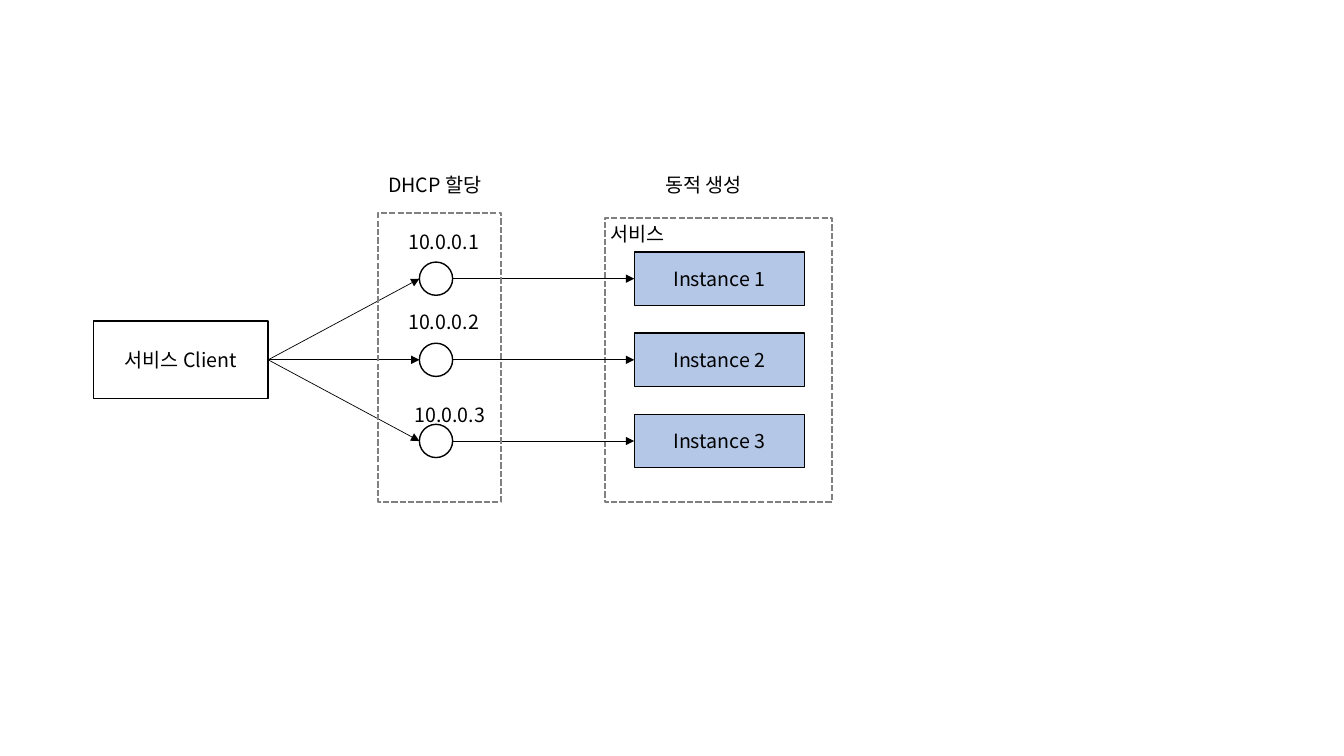
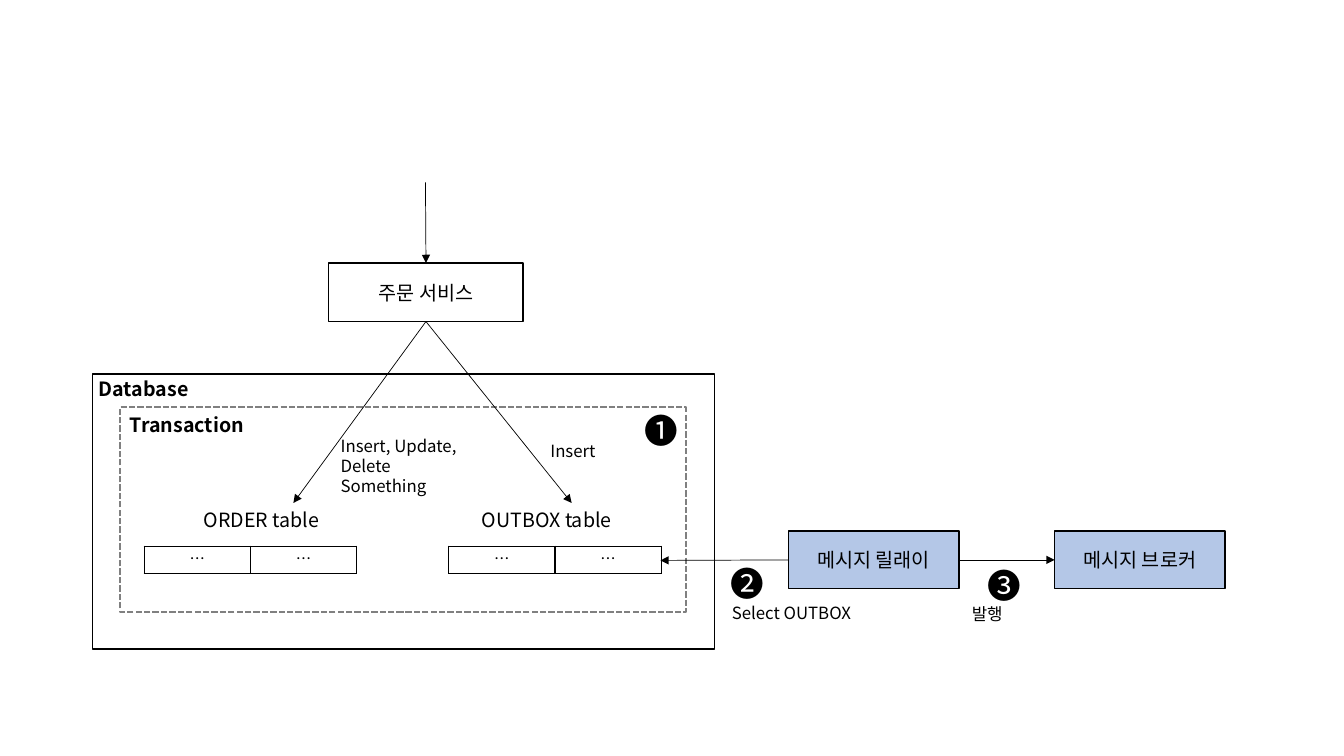
from dataclasses import dataclass
from typing import Optional

from pptx import Presentation
from pptx.dml.color import RGBColor
from pptx.enum.dml import MSO_LINE
from pptx.enum.shapes import MSO_CONNECTOR, MSO_SHAPE
from pptx.enum.text import MSO_ANCHOR, MSO_AUTO_SIZE, PP_ALIGN
from pptx.oxml.ns import qn
from pptx.util import Inches, Pt
from lxml import etree

# Shared style
FONT = "Noto Sans CJK KR"
BLACK, WHITE, GRAY, BLUE = "000000", "FFFFFF", "808080", "B4C7E7"
RECT, OVAL = MSO_SHAPE.RECTANGLE, MSO_SHAPE.OVAL
STRAIGHT = MSO_CONNECTOR.STRAIGHT
DASH = MSO_LINE.SQUARE_DOT
CENTER, LEFT = PP_ALIGN.CENTER, PP_ALIGN.LEFT
MIDDLE = MSO_ANCHOR.MIDDLE
FIT = MSO_AUTO_SIZE.SHAPE_TO_FIT_TEXT
TOP_SIDE, LEFT_SIDE, BOTTOM_SIDE, RIGHT_SIDE = range(4)
LINE_HEIGHT = 1.2


@dataclass
class Box:
    x: float
    y: float
    w: float
    h: float
    text: str = ""
    fill: Optional[str] = WHITE
    kind: int = RECT
    dashed: bool = False


@dataclass
class Label:
    x: float
    y: float
    text: str
    w: float = 1.99
    size: int = 14
    bold: bool = False


def rgb(value: str) -> RGBColor:
    return RGBColor.from_string(value)


def write(tf, text: str, size: int, align, bold: bool = False) -> None:
    p = tf.paragraphs[0]
    p.alignment = align
    p.line_spacing = Pt(size * LINE_HEIGHT)
    for i, line in enumerate(text.split("\n")):
        if i:
            p.add_line_break()
        r = p.add_run()
        r.text = line
        r.font.name = FONT
        r.font.size = Pt(size)
        r.font.bold = bold
        r.font.color.rgb = rgb(BLACK)
        ea = etree.SubElement(r.font._element, qn("a:ea"))
        ea.set("typeface", FONT)


def add_box(s, box: Box):
    sp = s.shapes.add_shape(box.kind, Inches(box.x), Inches(box.y),
                            Inches(box.w), Inches(box.h))
    sp.shadow.inherit = False
    if box.fill:
        sp.fill.solid()
        sp.fill.fore_color.rgb = rgb(box.fill)
    else:
        sp.fill.background()
    sp.line.color.rgb = rgb(GRAY if box.dashed else BLACK)
    sp.line.width = Pt(1.5 if box.dashed else 1)
    if box.dashed:
        sp.line.dash_style = DASH
    if box.text:
        sp.text_frame.vertical_anchor = MIDDLE
        write(sp.text_frame, box.text, 14, CENTER)
    return sp


def add_group_frame(s, x: float, y: float, w: float, h: float):
    return add_box(s, Box(x, y, w, h, fill=None, dashed=True))


def add_label(s, label: Label) -> None:
    lines = label.text.count("\n") + 1
    height = 0.1 + lines * label.size * LINE_HEIGHT / 72
    sp = s.shapes.add_textbox(Inches(label.x), Inches(label.y),
                              Inches(label.w), Inches(height))
    tf = sp.text_frame
    tf.word_wrap = True
    tf.auto_size = FIT
    write(tf, label.text, label.size, LEFT, label.bold)


def add_arrow(s, x1: float, y1: float, x2: float, y2: float,
              begin=None, end=None) -> None:
    """Draw an arrow; begin and end are optional (shape, side) pairs."""
    c = s.shapes.add_connector(STRAIGHT, Inches(x1), Inches(y1),
                               Inches(x2), Inches(y2))
    if begin:
        c.begin_connect(*begin)
    if end:
        c.end_connect(*end)
    c.line.color.rgb = rgb(BLACK)
    c.line.width = Pt(0.5)
    etree.SubElement(c.line._get_or_add_ln(), qn("a:tailEnd"), type="triangle")
    etree.SubElement(c._element.spPr, qn("a:effectLst"))


def add_record(s, x: float, y: float) -> None:
    """Draw a one-row table with two cells."""
    table = s.shapes.add_table(1, 2, Inches(x), Inches(y),
                               Inches(2.11), Inches(0.27)).table
    table.first_row = table.horz_banding = False
    for cell in table.iter_cells():
        cell.margin_left = cell.margin_right = Inches(0.08)
        cell.margin_top = cell.margin_bottom = Inches(0.04)
        write(cell.text_frame, "…", 11, CENTER)
        tc_pr = cell._tc.get_or_add_tcPr()
        for side in ("lnL", "lnR", "lnT", "lnB"):
            ln = etree.SubElement(tc_pr, qn(f"a:{side}"), w=str(Pt(1)))
            fill = etree.SubElement(ln, qn("a:solidFill"))
            etree.SubElement(fill, qn("a:srgbClr"), val=BLACK)
        cell.fill.background()


def build_instances(prs) -> None:
    s = prs.slides.add_slide(prs.slide_layouts[6])
    middle, pitch, circle = 3.57, 0.805, 0.33
    rows = [middle + (i - 1) * pitch for i in range(3)]

    # Client, service group and instances
    add_group_frame(s, 6, 2.16, 2.25, 2.82)
    client = add_box(s, Box(0.93, 3.185, 1.73, 0.77, "서비스 Client"))
    for i, y in enumerate(rows, 1):
        instance = add_box(s, Box(6.29, y - 0.265, 1.69, 0.53,
                                  f"Instance {i}", BLUE))
        add_box(s, Box(4.16, y - circle / 2, circle, circle, kind=OVAL))
        add_arrow(s, 2.66, middle, 4.16, y, begin=(client, RIGHT_SIDE))
        add_arrow(s, 4.49, y, 6.29, y, end=(instance, LEFT_SIDE))

    # Address group and labels
    add_group_frame(s, 3.75, 2.11, 1.22, 2.87)
    for label in (
        Label(5.96, 2.15, "서비스"),
        Label(3.95, 2.23, "10.0.0.1"),
        Label(3.95, 3.03, "10.0.0.2"),
        Label(4.01, 3.95, "10.0.0.3"),
        Label(3.75, 1.67, "DHCP 할당"),
        Label(6.5, 1.67, "동적 생성"),
    ):
        add_label(s, label)


def build_outbox(prs) -> None:
    s = prs.slides.add_slide(prs.slide_layouts[6])

    # Services, database and transaction
    order = add_box(s, Box(3.26, 2.61, 1.93, 0.58, "주문 서비스"))
    add_box(s, Box(0.92, 3.71, 6.17, 2.73))
    add_group_frame(s, 1.19, 4.04, 5.61, 2.03)
    relay, broker = [add_box(s, Box(x, 5.27, 1.69, 0.57, text, BLUE))
                     for x, text in ((7.82, "메시지 릴래이"),
                                     (10.46, "메시지 브로커"))]

    # Tables
    for x in (1.43, 4.45):
        add_record(s, x, 5.42)

    # Message flow
    add_arrow(s, 4.22, 1.81, 4.22, 2.61, end=(order, TOP_SIDE))
    for x in (2.91, 5.67):
        add_arrow(s, 4.22, 3.19, x, 4.99, begin=(order, BOTTOM_SIDE))
    add_arrow(s, 7.82, 5.56, 6.55, 5.56, begin=(relay, LEFT_SIDE))
    add_arrow(s, 9.51, 5.56, 10.46, 5.56,
              begin=(relay, RIGHT_SIDE), end=(broker, LEFT_SIDE))

    # Labels
    for label in (
        Label(0.88, 3.69, "Database", bold=True),
        Label(1.19, 4.05, "Transaction", bold=True),
        Label(1.92, 4.99, "ORDER table"),
        Label(4.68, 4.99, "OUTBOX table"),
        Label(3.28, 4.27, "Insert, Update,\nDelete\nSomething", 1.45, 12),
        Label(5.36, 4.32, "Insert", 1.45, 12),
        Label(7.16, 5.93, "Select OUTBOX", 1.45, 12),
        Label(9.54, 5.94, "발행", 1.45, 12),
        Label(6.29, 4.02, "❶", 1.59, 24),
        Label(7.15, 5.54, "❷", 1.59, 24),
        Label(9.7, 5.56, "❸", 1.59, 24),
    ):
        add_label(s, label)


def main() -> None:
    prs = Presentation()
    prs.slide_width, prs.slide_height = Inches(13.33), Inches(7.5)
    build_instances(prs)
    build_outbox(prs)
    prs.save("out.pptx")


if __name__ == "__main__":
    main()
